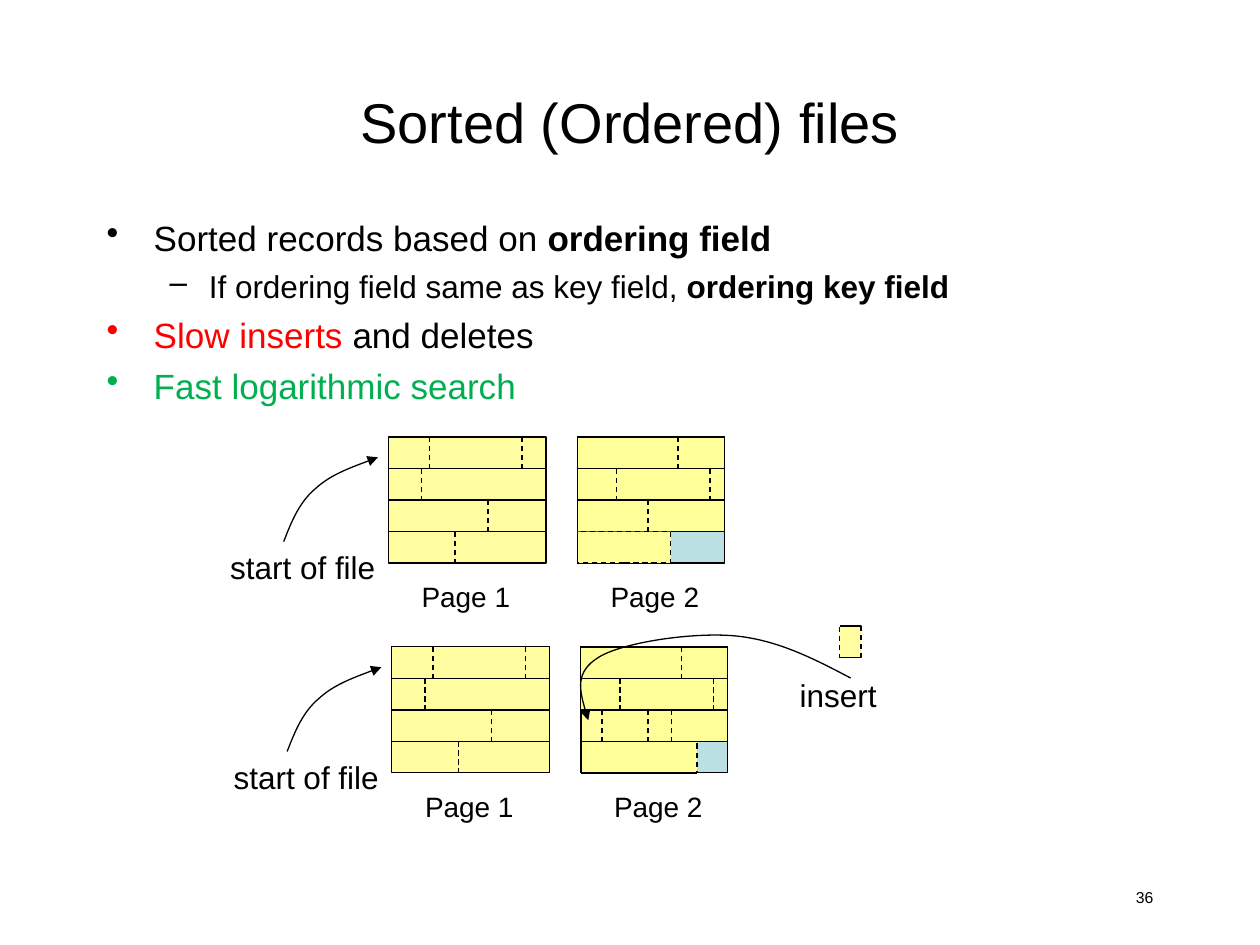
from lxml import etree
from pptx import Presentation
from pptx.dml.color import RGBColor
from pptx.enum.dml import MSO_LINE
from pptx.enum.shapes import MSO_CONNECTOR, MSO_SHAPE
from pptx.enum.text import MSO_ANCHOR, MSO_AUTO_SIZE, PP_ALIGN
from pptx.oxml.ns import qn
from pptx.util import Cm, Pt

DASH = MSO_LINE.DASH
LINE = MSO_CONNECTOR.STRAIGHT
RECT = MSO_SHAPE.RECTANGLE
MID, TOP = MSO_ANCHOR.MIDDLE, MSO_ANCHOR.TOP
LEFT, CENTER, RIGHT = PP_ALIGN.LEFT, PP_ALIGN.CENTER, PP_ALIGN.RIGHT
BLACK, RED, GREEN = "000000", "FF0000", "00B050"
CREAM, YELLOW, FREE = "FFFDA0", "FFFF99", "BBE0E3"

TITLE = "Sorted (Ordered) files"
BODY = [
    (0, [("Sorted records based on ", BLACK, False), ("ordering field", BLACK, True)]),
    (1, [("If ordering field same as key field, ", BLACK, False),
         ("ordering key field", BLACK, True)]),
    (0, [("Slow inserts ", RED, False), ("and deletes", BLACK, False)]),
    (0, [("Fast logarithmic search", GREEN, False)]),
]
LEVELS = [("•", 20, 0.95, -0.95), ("–", 18, 2.06, -0.79)]

ROW, ROWS = 0.635, 4
ONE_X, TWO_X, PAGE_Y = 7.83, 11.64, 8.81
ONE_W, TWO_W, NEW_W = 3.18, 2.96, 0.43
ONE_CUTS = [(0, 0.83), (0, 2.69), (1, 0.67), (2, 2.01), (3, 1.34)]
TWO_CUTS = [(0, 2.03), (1, 0.79), (1, 2.67)]
FILES = [
    {"dx": 0, "dy": 0, "cuts": [(2, 1.42)], "last": 1.88, "sides": "l", "new": False},
    {"dx": 0.07, "dy": 4.23, "cuts": [(2, 1.35), (2, 1.83)], "last": 2.34,
     "sides": "tbl", "new": True},
]
START = [(7.62, 9.22), (7.14, 9.4), (6.65, 9.58), (6.35, 9.86),
         (6.03, 10.13), (5.87, 10.53), (5.72, 10.92)]
INSERT = [(17.15, 13.67), (16.41, 13.28), (15.67, 12.9), (14.82, 12.82),
          (13.97, 12.74), (12.55, 12.95), (12.07, 13.25),
          (11.58, 13.55), (11.71, 14.04), (11.86, 14.52)]

deck = Presentation()
deck.slide_width, deck.slide_height = Cm(25.4), Cm(19.05)
slide = deck.slides.add_slide(deck.slide_layouts[5])
shapes = slide.shapes


def rgb(code):
    return RGBColor.from_string(code)


def ink(line, dash=False):
    line.color.rgb = rgb(BLACK)
    line.width = Pt(0.75)
    if dash:
        line.dash_style = DASH


def say(par, text, size=18, color=BLACK, bold=False, align=LEFT):
    par.alignment = align
    run = par.add_run()
    run.text = text
    font = run.font
    font.name, font.size, font.bold = "Arial", Pt(size), bold
    font.color.rgb = rgb(color)


def frame(x, y, w, h, wrap=False):
    area = shapes.add_textbox(Cm(x), Cm(y), Cm(w), Cm(h)).text_frame
    area.word_wrap = wrap
    area.vertical_anchor = TOP
    if not wrap:
        area.auto_size = MSO_AUTO_SIZE.SHAPE_TO_FIT_TEXT
    return area


def label(text, x, y, w, h, size=18):
    say(frame(x, y, w, h).paragraphs[0], text, size=size)


def rect(x, y, w, h, fill, dash=False):
    box = shapes.add_shape(RECT, Cm(x), Cm(y), Cm(w), Cm(h))
    box.shadow.inherit = False
    box.fill.solid()
    box.fill.fore_color.rgb = rgb(fill)
    ink(box.line, dash)
    return box


def rule(x1, y1, x2, y2, dash=False):
    line = shapes.add_connector(LINE, Cm(x1), Cm(y1), Cm(x2), Cm(y2))
    ink(line.line, dash)
    etree.SubElement(line._element.spPr, qn("a:effectLst"))
    return line


def cut(x, y, marks):
    for row, off in marks:
        top = y + row * ROW
        rule(x + off, top, x + off, top + ROW, dash=True)


def record(x, y, w, fill, sides):
    rect(x, y, w, ROW, fill, dash=True)
    ends = {"t": (x, y, x + w, y), "b": (x, y + ROW, x + w, y + ROW),
            "l": (x, y, x, y + ROW)}
    for side in sides:
        rule(*ends[side])


def curve(points, end):
    spots = [(Cm(x), Cm(y)) for x, y in points]
    pen = shapes.build_freeform(*spots[0])
    pen.add_line_segments(spots[1:], close=False)
    shape = pen.convert_to_shape()
    shape.shadow.inherit = False
    shape.fill.background()
    ink(shape.line)
    etree.SubElement(shape.line._get_or_add_ln(), qn("a:" + end), type="triangle")
    trace = shape._element.find(".//" + qn("a:path"))
    steps = trace.findall(qn("a:lnTo"))
    for i in range(0, len(steps), 3):
        bend = etree.SubElement(trace, qn("a:cubicBezTo"))
        for step in steps[i:i + 3]:
            bend.append(step[0])
            trace.remove(step)


def file(dx, dy, cuts, last, sides, new):
    one, two, top = ONE_X + dx, TWO_X + dx, PAGE_Y + dy
    rect(two, top, TWO_W, ROWS * ROW, FREE)
    for row in range(ROWS - 1):
        rect(two, top + row * ROW, TWO_W, ROW, YELLOW)
    record(two, top + 3 * ROW, last, YELLOW, sides)
    cut(two, top, TWO_CUTS + cuts)
    if new:
        record(two, top + 2 * ROW, NEW_W, CREAM, "tbl")
    page = rect(one, top, ONE_W, ROWS * ROW, CREAM)
    for row in range(1, ROWS):
        y = top + row * ROW
        line = rule(one, y, one + ONE_W, y)
        if 2 * row == ROWS:
            line.begin_connect(page, 1)
            line.end_connect(page, 3)
    cut(one, top, ONE_CUTS)
    for name, x in (("Page 1", one), ("Page 2", two)):
        label(name, x + 0.42, top + 2.75, 2.31, 0.94, size=16)
    curve([(x + dx, y + dy) for x, y in START], "headEnd")
    label("start of file", 4.39 + dx, top + 2.11, 3.43, 1.02)


head = shapes.title
head.left, head.top, head.width, head.height = Cm(1.9), Cm(0.85), Cm(21.6), Cm(3.18)
head.text_frame.vertical_anchor = MID
say(head.text_frame.paragraphs[0], TITLE, size=32, align=CENTER)

body = frame(1.9, 4.23, 21.6, 13.12, wrap=True)
for i, (level, runs) in enumerate(BODY):
    par = body.add_paragraph() if i else body.paragraphs[0]
    mark, size, left, hang = LEVELS[level]
    props = par._p.get_or_add_pPr()
    props.set("marL", str(Cm(left)))
    props.set("indent", str(Cm(hang)))
    etree.SubElement(props, qn("a:buChar"), char=mark)
    par.level = level
    if i:
        par.space_before = Pt(5)
    for text, color, bold in runs:
        say(par, text, size=size, color=color, bold=bold)

for item in FILES:
    file(**item)

record(16.93, 12.62, NEW_W, CREAM, "tb")
curve(INSERT, "tailEnd")
label("insert", 15.87, 13.51, 2.06, 1.02)
say(frame(18.2, 17.78, 5.3, 0.85, wrap=True).paragraphs[0], "36", size=9, align=RIGHT)

deck.save("out.pptx")
